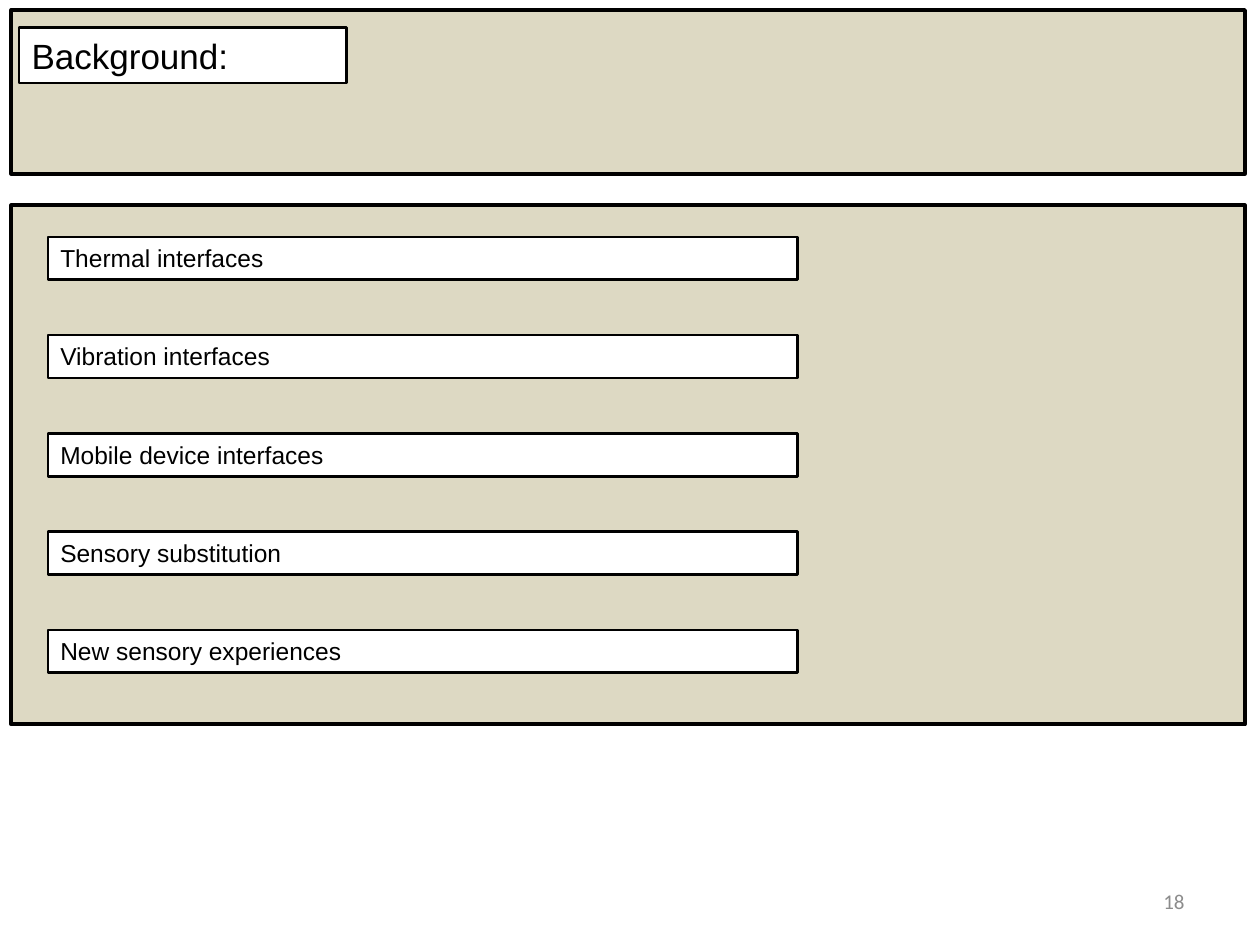
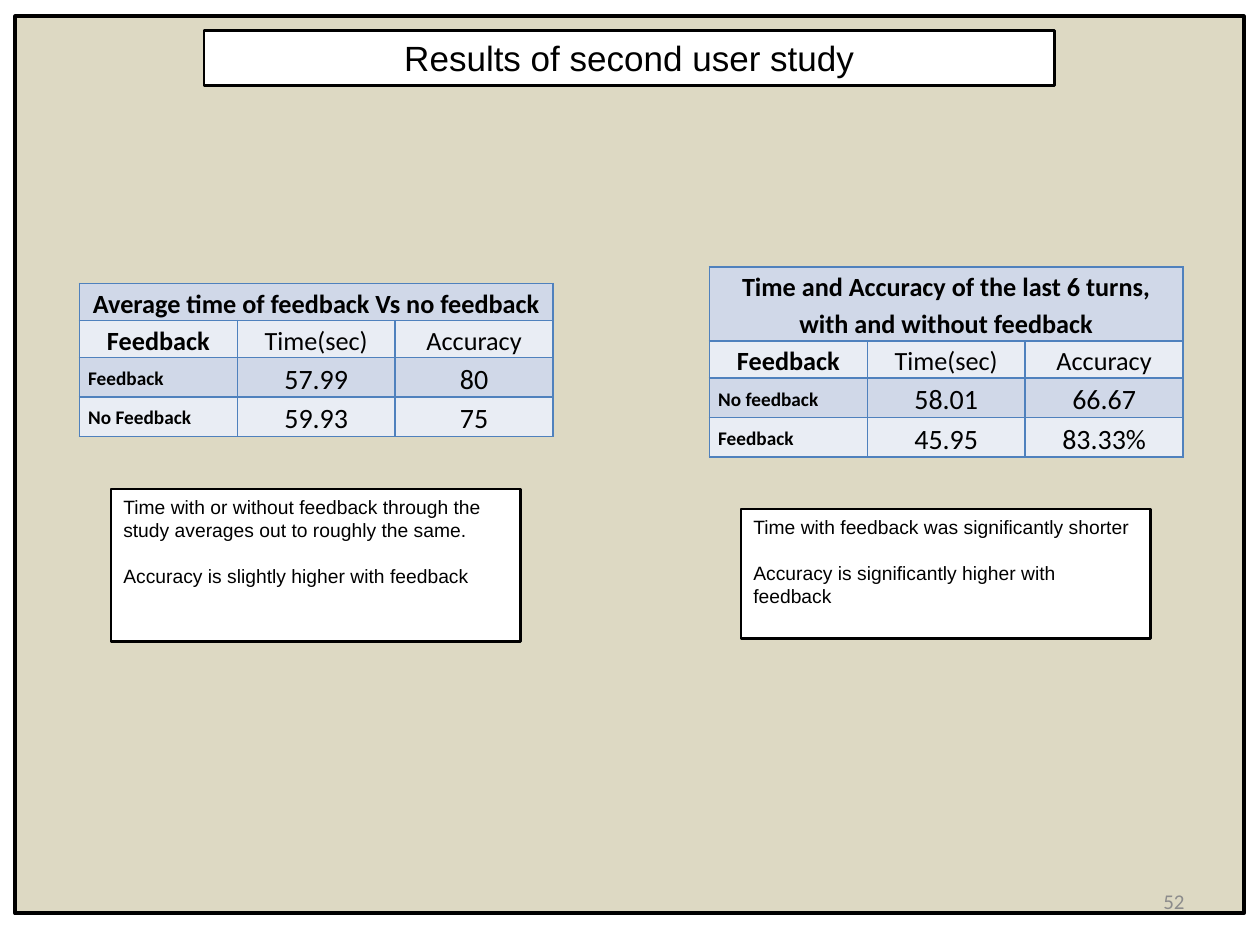
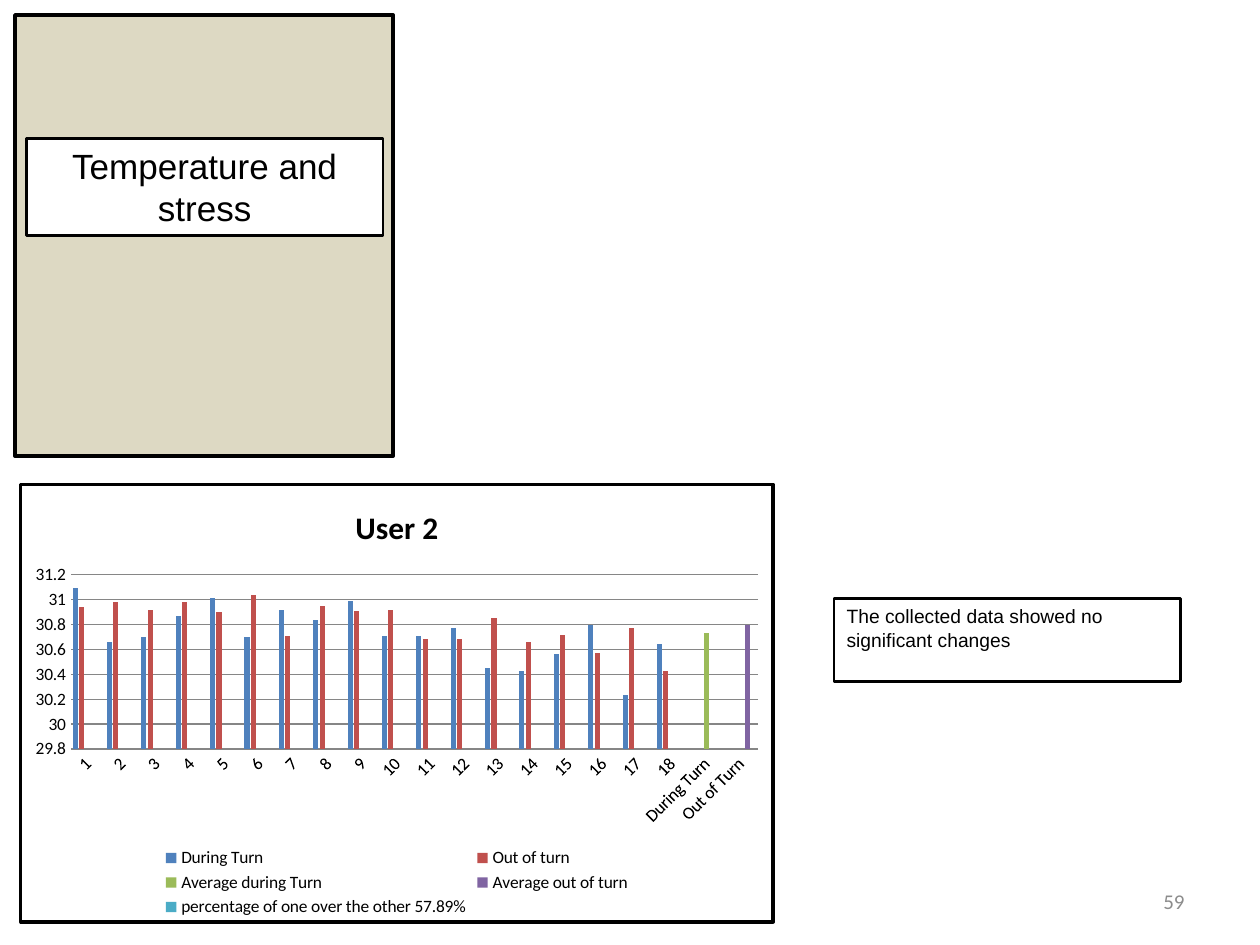
from pptx import Presentation
from pptx.chart.data import CategoryChartData as ChartData
from pptx.dml.color import RGBColor as Rgb
from pptx.enum.chart import XL_CHART_TYPE as Kind, XL_LEGEND_POSITION as Place, XL_TICK_MARK as Tick
from pptx.enum.shapes import MSO_SHAPE as Form
from pptx.enum.text import MSO_ANCHOR as Anchor, MSO_AUTO_SIZE as Fit, PP_ALIGN as Align
from pptx.oxml import parse_xml
from pptx.oxml.ns import nsdecls
from pptx.util import Inches, Pt

HUE = {
    "ink": "000000", "paper": "FFFFFF", "sand": "DDD9C3", "number": "8C8C8C",
    "edge": "4F81BD", "dark": "D0D8E8", "light": "E9EDF4", "grid": "868686",
}
BARS = ["4F81BD", "C0504D", "9BBB59", "8064A2", "4BACC6"]
SANS, BODY = "Arial", "Calibri"

DURING = [31.09, 30.66, 30.7, 30.87, 31.01, 30.7, 30.92, 30.84, 30.99,
          30.71, 30.71, 30.77, 30.45, 30.43, 30.56, 30.8, 30.23, 30.64]
OUT = [30.94, 30.98, 30.92, 30.98, 30.9, 31.04, 30.71, 30.95, 30.91,
       30.92, 30.68, 30.68, 30.85, 30.66, 30.72, 30.57, 30.77, 30.43]


def tint(name):
    return Rgb.from_string(HUE[name])


def style(font, size, face, hue="ink", bold=False):
    font.size, font.name, font.bold = Pt(size), face, bold
    font.color.rgb = tint(hue)


def write(para, text, size, face, hue="ink", bold=False, align=Align.LEFT):
    para.alignment = align
    run = para.add_run()
    run.text = text
    style(run.font, size, face, hue, bold)


def paint(shape, fill, width):
    shape.shadow.inherit = False
    shape.fill.solid()
    shape.fill.fore_color.rgb = tint(fill)
    shape.line.color.rgb = tint("ink")
    shape.line.width = Pt(width)


def rect(slide, x, y, w, h, fill, width):
    shape = slide.shapes.add_shape(Form.RECTANGLE, Inches(x), Inches(y), Inches(w), Inches(h))
    paint(shape, fill, width)
    return shape


def panel(slide, x, y, w, h):
    shape = rect(slide, x, y, w, h, "sand", 2.25)
    slide.shapes.title.element.addprevious(shape.element)


def frame(shape, anchor=Anchor.TOP):
    body = shape.text_frame
    body.word_wrap, body.auto_size = True, Fit.NONE
    body.vertical_anchor = anchor
    return body


def head(slide, text, x, y, w, h, align=Align.CENTER):
    title = slide.shapes.title
    title.left, title.top, title.width, title.height = map(Inches, (x, y, w, h))
    paint(title, "paper", 1.5)
    write(frame(title).paragraphs[0], text, 20, SANS, align=align)


def note(slide, lines, x, y, w, h, size=11):
    body = frame(rect(slide, x, y, w, h, "paper", 1.5))
    for i, line in enumerate(lines):
        para = body.add_paragraph() if i else body.paragraphs[0]
        if i:
            para.space_before = Pt(13)
        write(para, line, size, SANS)


def number(slide, text):
    box = slide.shapes.add_textbox(Inches(7.17), Inches(6.95), Inches(2.33), Inches(0.4))
    write(frame(box, Anchor.MIDDLE).paragraphs[0], text, 12, BODY, "number", align=Align.RIGHT)


def border(cell):
    props = cell._tc.get_or_add_tcPr()
    for side in "LRTB":
        props.append(parse_xml(
            f'<a:ln{side} {nsdecls("a")} w="12700"><a:solidFill>'
            f'<a:srgbClr val="{HUE["edge"]}"/></a:solidFill></a:ln{side}>'))


def fill_cell(cell, text, row, col):
    border(cell)
    cell.fill.solid()
    cell.fill.fore_color.rgb = tint("light" if row % 2 else "dark")
    cell.margin_left = cell.margin_right = Inches(0.07)
    cell.margin_top = cell.margin_bottom = 0
    cell.vertical_anchor = Anchor.MIDDLE if row > 1 else Anchor.TOP
    if text:
        size = 15 if row < 2 else 16 if col else 11
        align = Align.LEFT if row > 1 and not col else Align.CENTER
        para = cell.text_frame.paragraphs[0]
        para.line_spacing = 1.15
        write(para, text, size, BODY, bold=not col, align=align)


def grid(slide, caption, rows, x, y, top):
    data = [[caption, "", ""], ["Feedback", "Time(sec)", "Accuracy"]] + rows
    tall = [top, 0.28, 0.28, 0.29]
    table = slide.shapes.add_table(
        4, 3, Inches(x), Inches(y), Inches(3.76), Inches(sum(tall))).table
    table.first_row = table.horz_banding = False
    for row, high in zip(table.rows, tall):
        row.height = Inches(high)
    for r, line in enumerate(data):
        for c, text in enumerate(line):
            fill_cell(table.cell(r, c), text, r, c)
    table.cell(0, 0).merge(table.cell(0, 2))


def graph(slide, x, y, w, h):
    data = ChartData()
    data.categories = [str(n) for n in range(1, 19)] + ["During Turn", "Out of Turn"]
    gap = [None] * 18
    data.add_series("During Turn", DURING + [None, None])
    data.add_series("Out of turn", OUT + [None, None])
    data.add_series("Average during Turn", gap + [30.73, None])
    data.add_series("Average out of turn", gap + [None, 30.8])
    data.add_series("percentage of one over the other 57.89%", gap + [None, None])
    chart = slide.shapes.add_chart(
        Kind.COLUMN_CLUSTERED, Inches(x), Inches(y), Inches(w), Inches(h), data).chart
    style(chart.font, 10, BODY)
    chart.has_title = True
    write(chart.chart_title.text_frame.paragraphs[0], "User 2", 18, BODY,
          bold=True, align=Align.CENTER)
    chart.chart_title.include_in_layout = False
    chart.has_legend = True
    chart.legend.position = Place.BOTTOM
    chart.legend.include_in_layout = False
    plot = chart.plots[0]
    plot.gap_width, plot.overlap, plot.vary_by_categories = 75, -25, False
    for series, hue in zip(plot.series, BARS):
        series.format.fill.solid()
        series.format.fill.fore_color.rgb = Rgb.from_string(hue)
    cat, val = chart.category_axis, chart.value_axis
    for axis in (cat, val):
        axis.major_tick_mark = axis.minor_tick_mark = Tick.NONE
        style(axis.tick_labels.font, 10, BODY)
    cat._element.txPr.bodyPr.set("rot", "-2700000")
    cat.format.line.color.rgb = tint("grid")
    val.minimum_scale, val.maximum_scale, val.major_unit = 29.8, 31.2, 0.2
    val.has_major_gridlines = True
    val.major_gridlines.format.line.color.rgb = tint("grid")
    val.format.line.fill.background()
    chart._chartSpace.chart.addnext(parse_xml(
        f'<c:spPr {nsdecls("c", "a")}><a:solidFill><a:srgbClr val="{HUE["paper"]}"/></a:solidFill>'
        f'<a:ln w="25400"><a:solidFill><a:srgbClr val="{HUE["ink"]}"/></a:solidFill></a:ln></c:spPr>'))


def topics(slide):
    panel(slide, 0.09, 0.08, 9.79, 1.3)
    panel(slide, 0.09, 1.63, 9.79, 4.12)
    head(slide, "Background:", 0.15, 0.22, 2.6, 0.44, Align.LEFT)
    names = ["Thermal interfaces", "Vibration interfaces", "Mobile device interfaces",
             "Sensory substitution", "New sensory experiences"]
    for i, name in enumerate(names):
        note(slide, [name], 0.38, 1.88 + 0.78 * i, 5.95, 0.34, 14)


def results(slide):
    panel(slide, 0.12, 0.13, 9.75, 7.12)
    head(slide, "Results of second user study", 1.62, 0.24, 6.75, 0.44)
    grid(slide, "Time and Accuracy of the last 6 turns, with and without feedback",
         [["No feedback", "58.01", "66.67"], ["Feedback", "45.95", "83.33%"]],
         5.63, 2.12, 0.55)
    grid(slide, "Average time of feedback Vs no feedback",
         [["Feedback", "57.99", "80"], ["No Feedback", "59.93", "75"]],
         0.63, 2.25, 0.29)
    note(slide, ["Time with or without feedback through the study averages out to roughly the same.",
                 "Accuracy is slightly higher with feedback"], 0.88, 3.88, 3.25, 1.21)
    note(slide, ["Time with feedback was significantly shorter",
                 "Accuracy is significantly higher with feedback"], 5.88, 4.04, 3.25, 1.03)


def stress(slide):
    panel(slide, 0.12, 0.12, 3, 3.5)
    head(slide, "Temperature and stress", 0.21, 1.1, 2.83, 0.77)
    graph(slide, 0.15, 3.83, 6, 3.5)
    note(slide, ["The collected data showed no significant changes"], 6.62, 4.75, 2.75, 0.66)


def main():
    deck = Presentation()
    deck.slide_width, deck.slide_height = Inches(10), Inches(7.5)
    for build, page in ((topics, "18"), (results, "52"), (stress, "59")):
        slide = deck.slides.add_slide(deck.slide_layouts[5])
        build(slide)
        number(slide, page)
    deck.save("out.pptx")


if __name__ == "__main__":
    main()
